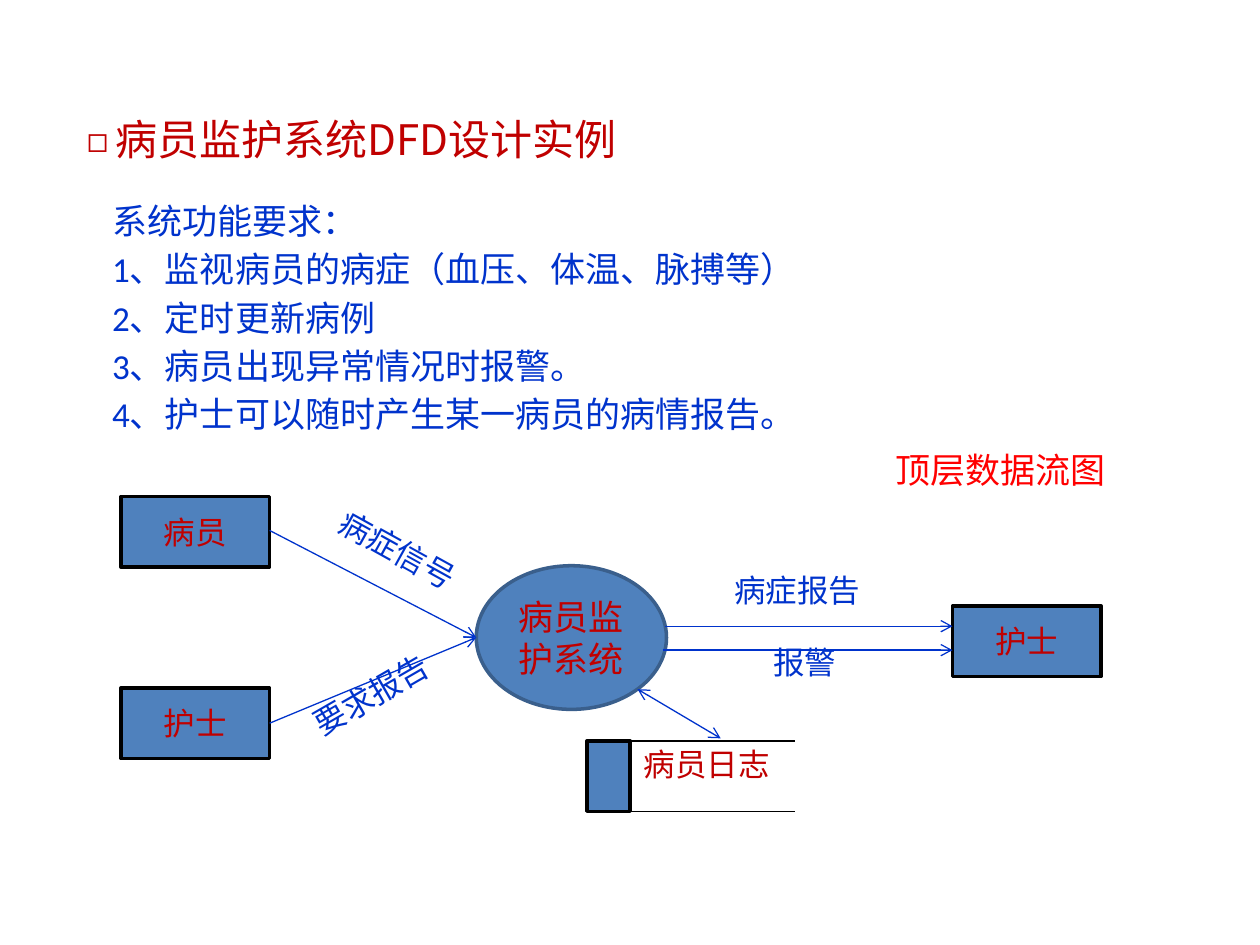
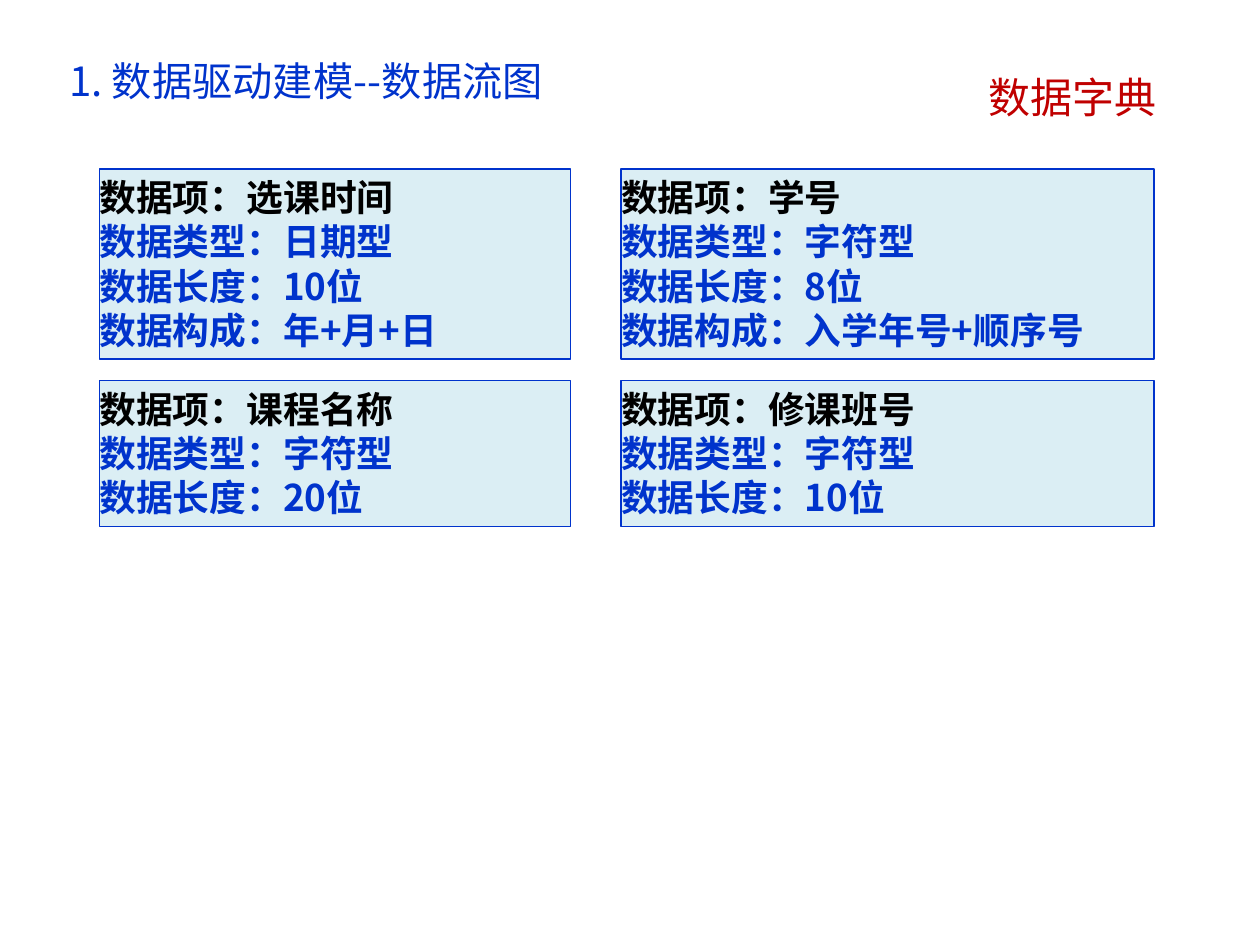
from lxml import etree
from pptx import Presentation
from pptx import util as u
from pptx.dml.color import RGBColor
from pptx.enum import shapes, text
from pptx.oxml import ns

BLUE, RED, ALERT, BLACK = "0033CC", "C00000", "FF0000", "000000"
FILL, RIM, PALE = "4F81BD", "3A5F8C", "DBEEF4"
LATIN, HAN = "Calibri", "Noto Sans CJK SC"
RECT, OVAL = shapes.MSO_SHAPE.RECTANGLE, shapes.MSO_SHAPE.OVAL
LEFT, MID = text.PP_ALIGN.LEFT, text.PP_ALIGN.CENTER
TOP, CENTER = text.MSO_ANCHOR.TOP, text.MSO_ANCHOR.MIDDLE


def rgb(code):
    return RGBColor.from_string(code)


def inch(*nums):
    return [u.Inches(n) for n in nums]


def add(node, tag, **attrs):
    return etree.SubElement(node, ns.qn(tag), attrs)


class Deck:
    """Build slides that share one style."""

    def __init__(self):
        self.prs = Presentation()
        self.prs.slide_width, self.prs.slide_height = inch(10, 7.5)

    def page(self, layout):
        self.slide = self.prs.slides.add_slide(self.prs.slide_layouts[layout])

    def style(self, para, size, color, face=LATIN, align=LEFT, bold=False):
        para.alignment = align
        para.space_before = u.Pt(0)
        font = para.font
        font.name, font.size, font.bold = face, u.Pt(size), bold
        font.color.rgb = rgb(color)

    def fit(self, frame, anchor=TOP):
        frame.word_wrap = True
        frame.auto_size = text.MSO_AUTO_SIZE.NONE
        frame.vertical_anchor = anchor

    def letter(self, shape, lines, size, color, anchor=TOP, **look):
        frame = shape.text_frame
        self.fit(frame, anchor)
        frame.text = "\n".join(lines)
        for para in frame.paragraphs:
            self.style(para, size, color, **look)
        return frame

    def place(self, shape, box):
        shape.left, shape.top, shape.width, shape.height = inch(*box)

    def title(self, words, box, size, color, mark=None):
        shape = self.slide.shapes.title
        self.place(shape, box)
        frame = shape.text_frame
        self.fit(frame)
        frame.text = words
        para = frame.paragraphs[0]
        if mark:
            props = para._p.get_or_add_pPr()
            props.set("marL", str(u.Inches(0.23)))
            props.set("indent", str(u.Inches(-0.23)))
            add(props, "a:buSzPct", val="83000")
            add(props, "a:buFont", typeface=HAN)
            add(props, "a:buChar", char=mark)
        self.style(para, size, color, HAN)

    def body(self, lines, box, size, color):
        shape = self.slide.placeholders[1]
        self.place(shape, box)
        frame = shape.text_frame
        self.fit(frame)
        frame.text = "\n".join(lines)
        for num, para in enumerate(frame.paragraphs):
            props = para._p.get_or_add_pPr()
            props.set("marL", "0")
            props.set("indent", "0")
            add(props, "a:buNone")
            para.line_spacing = 1.15 if num else 1.25
            self.style(para, size, color)

    def label(self, words, box, size=18, color=BLUE, turn=0, **look):
        shape = self.slide.shapes.add_textbox(*inch(*box))
        shape.rotation = turn
        self.letter(shape, [words], size, color, **look)

    def shape(self, kind, box, fill, line, width):
        shape = self.slide.shapes.add_shape(kind, *inch(*box))
        shape.shadow.inherit = False
        shape.fill.solid()
        shape.fill.fore_color.rgb = rgb(fill)
        shape.line.color.rgb = rgb(line)
        shape.line.width = u.Pt(width)
        return shape

    def node(self, words, x, y):
        shape = self.shape(RECT, (x, y, 1.18, 0.56), FILL, BLACK, 2)
        self.letter(shape, [words], 18, RED, CENTER, align=MID)

    def process(self, words, box):
        shape = self.shape(OVAL, box, FILL, RIM, 2)
        frame = self.letter(shape, [words], 20, RED, CENTER, align=MID)
        frame.margin_left = frame.margin_right = 0

    def line(self, start, end, color=BLUE, ends=("tailEnd",)):
        link = self.slide.shapes.add_connector(
            shapes.MSO_CONNECTOR.STRAIGHT, *inch(*start, *end))
        link.line.color.rgb = rgb(color)
        link.line.width = u.Pt(0.75)
        for tip in ends:
            add(link.line._get_or_add_ln(), "a:" + tip, type="arrow")
        add(link._element.spPr, "a:effectLst")

    def store(self, words, x, y):
        tall, edge = 0.56, x + 0.35
        self.shape(RECT, (x, y, 0.34, tall), FILL, BLACK, 2)
        for level in (y, y + tall):
            self.line((edge, level), (edge + 1.3, level), BLACK, ())
        self.label(words, (edge, y - 0.02, 1.42, 0.51), color=RED)

    def card(self, lines, box):
        shape = self.shape(RECT, box, PALE, BLUE, 0.75)
        frame = self.letter(shape, lines, 21, BLUE, face=HAN, bold=True)
        frame.margin_left = 0
        frame.paragraphs[0].font.color.rgb = rgb(BLACK)


def flow(deck):
    deck.page(1)
    deck.title("病员监护系统DFD设计实例", (0.59, 0.85, 6, 0.64), 24, RED, "◻")
    deck.body(["系统功能要求：", "1、监视病员的病症（血压、体温、脉搏等）",
               "2、定时更新病例", "3、病员出现异常情况时报警。",
               "4、护士可以随时产生某一病员的病情报告。"],
              (0.79, 1.45, 8.68, 2.07), 20, BLUE)
    for words, x, y in (("病员", 0.96, 3.94), ("护士", 0.96, 5.46),
                        ("护士", 7.56, 4.81)):
        deck.node(words, x, y)
    deck.process("病员监护系统", (3.78, 4.49, 1.51, 1.14))
    deck.store("病员日志", 4.66, 5.88)
    for start, end in (((2.14, 4.21), (3.78, 5.06)),
                       ((2.14, 5.74), (3.78, 5.06)),
                       ((5.28, 4.97), (7.56, 4.97)),
                       ((5.26, 5.16), (7.56, 5.16))):
        deck.line(start, end)
    deck.line((5.06, 5.47), (5.72, 5.86), ends=("headEnd", "tailEnd"))
    for words, x, y, wide, turn in (("病症信号", 2.52, 4.21, 1.42, 29),
                                    ("要求报告", 2.36, 5.25, 1.42, 330),
                                    ("报警", 6.04, 5.05, 0.83, 0),
                                    ("病症报告", 5.73, 4.48, 1.48, 0)):
        deck.label(words, (x, y, wide, 0.51), turn=turn)
    deck.label("顶层数据流图", (7.01, 3.51, 2.21, 0.55), 20, ALERT)


def terms(deck):
    deck.page(5)
    deck.title("1. 数据驱动建模--数据流图", (0.45, 0.4, 6.59, 0.62), 23, BLUE)
    deck.label("数据字典", (7.05, 0.52, 2.92, 0.5), 24, RED, face=HAN, align=MID)
    keys = ("数据项", "数据类型", "数据长度", "数据构成")
    cols = ((0.79, 3.74), (4.93, 4.23))
    rows = ((1.34, 1.51), (3.02, 1.16))
    items = (("选课时间", "日期型", "10位", "年+月+日"),
             ("学号", "字符型", "8位", "入学年号+顺序号"),
             ("课程名称", "字符型", "20位"),
             ("修课班号", "字符型", "10位"))
    for num, item in enumerate(items):
        (y, tall), (x, wide) = rows[num // 2], cols[num % 2]
        lines = [f"{key}：{val}" for key, val in zip(keys, item)]
        deck.card(lines, (x, y, wide, tall))


def main():
    deck = Deck()
    flow(deck)
    terms(deck)
    deck.prs.save("out.pptx")


if __name__ == "__main__":
    main()
